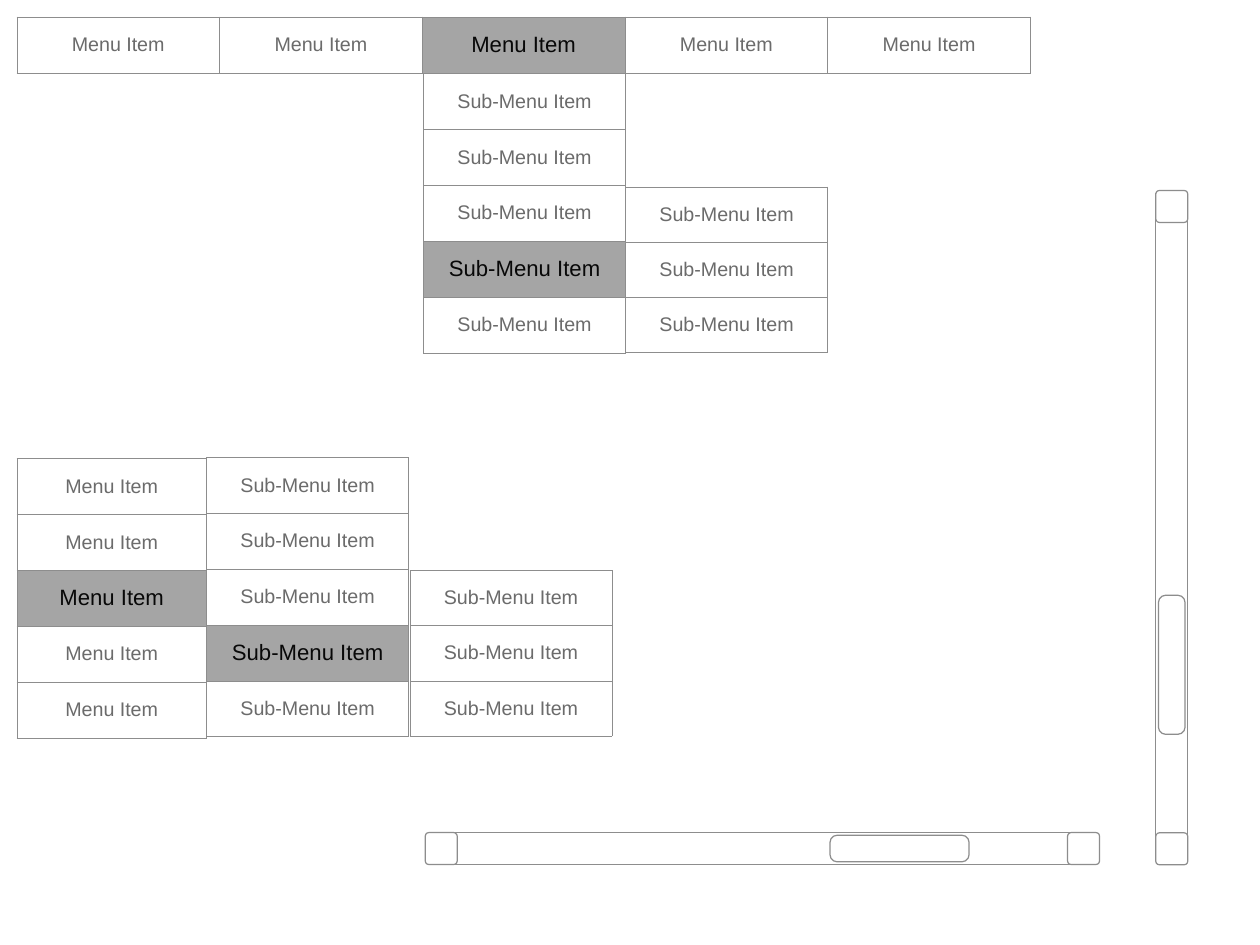
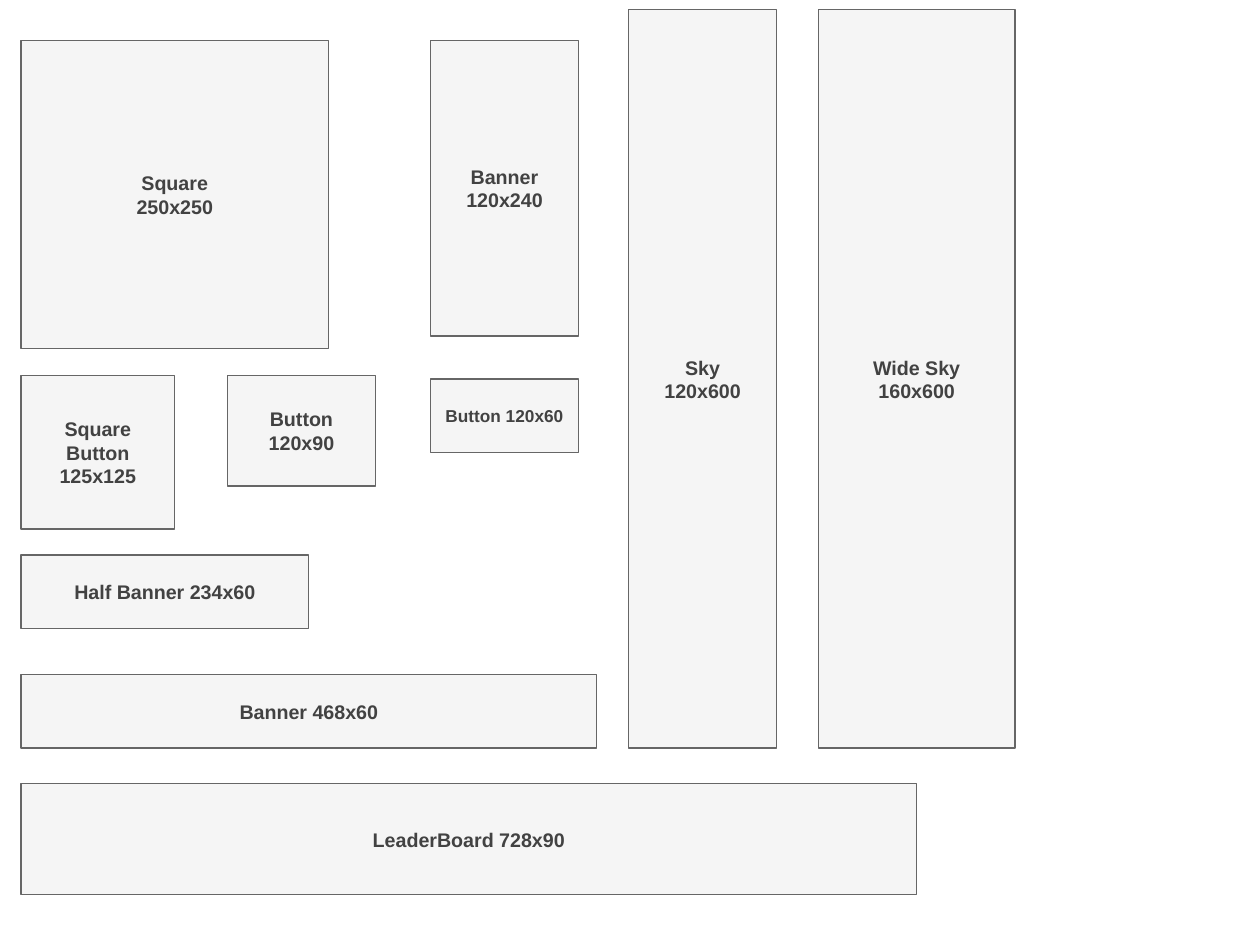
from lxml import etree
from pptx import Presentation
from pptx.dml.color import RGBColor
from pptx.enum import shapes, text
from pptx.oxml.ns import qn
from pptx.util import Pt

COLORS = {
    "white": "FFFFFF", "selected": "A5A5A5", "border": "8D8D8D",
    "menu_text": "6B6B6B", "selected_text": "080808",
    "ad_fill": "F5F5F5", "ad_line": "666666", "ad_text": "424242",
}


class Deck:
    """Holds the shared style and the current slide."""

    font = "Arial"

    def __init__(self):
        self.prs = Presentation()
        self.prs.slide_width, self.prs.slide_height = Pt(1024), Pt(768)
        self.slide = None

    def new_slide(self):
        self.slide = self.prs.slides.add_slide(self.prs.slide_layouts[6])

    def color(self, name):
        return RGBColor.from_string(COLORS[name])

    def style_text(self, p, size, color, bold=False):
        p.alignment = text.PP_ALIGN.CENTER
        p.font.name, p.font.size, p.font.bold = self.font, Pt(size), bold
        p.font.color.rgb = self.color(color)

    def box(self, parent, left, top, width, height, fill, line, radius=0):
        """Outlined box, rounded when a radius in points is given."""
        kind = shapes.MSO_SHAPE.ROUNDED_RECTANGLE if radius else shapes.MSO_SHAPE.RECTANGLE
        sp = parent.add_shape(kind, Pt(left), Pt(top), Pt(width), Pt(height))
        if radius:
            sp.adjustments[0] = radius / min(width, height)
        sp.shadow.inherit = False
        sp.fill.solid()
        sp.fill.fore_color.rgb = self.color(fill)
        sp.line.color.rgb = self.color(line)
        sp.line.width = Pt(1)
        return sp

    def cell_borders(self, cell):
        tc_pr = cell._tc.get_or_add_tcPr()
        for i, side in enumerate(("lnL", "lnR", "lnT", "lnB")):
            ln = etree.Element(qn(f"a:{side}"), w=str(Pt(0.45)))
            fill = etree.SubElement(ln, qn("a:solidFill"))
            etree.SubElement(fill, qn("a:srgbClr"), val=COLORS["border"])
            tc_pr.insert(i, ln)

    def menu(self, label, left, top, width, height, rows=1, cols=1, selected=None):
        """Table of equal items; width and height are those of one item."""
        table = self.slide.shapes.add_table(
            rows, cols, Pt(left), Pt(top), Pt(width * cols), Pt(height * rows)).table
        table.first_row = table.horz_banding = False
        for col in table.columns:
            col.width = Pt(width)
        for row in table.rows:
            row.height = Pt(height)
        for i, cell in enumerate(table.iter_cells()):
            chosen = i == selected
            cell.text = label
            cell.vertical_anchor = text.MSO_ANCHOR.MIDDLE
            cell.margin_left = cell.margin_right = Pt(4.3)
            cell.margin_top = cell.margin_bottom = Pt(3.6)
            cell.fill.solid()
            cell.fill.fore_color.rgb = self.color("selected" if chosen else "white")
            self.cell_borders(cell)
            self.style_text(cell.text_frame.paragraphs[0], 18 if chosen else 16,
                            "selected_text" if chosen else "menu_text")

    def scrollbar(self, left, top, vertical=False):
        """Track, thumb and two end buttons in one group."""
        group = self.slide.shapes.add_group_shape()
        # offset along the bar, inset across it, length, thickness, radius
        parts = [(2.7, 0, 542, 26, 0), (329, 2.2, 113, 21.6, 5.8),
                 (522, 0, 26, 26, 3), (0, 0, 26, 26, 3)]
        for along, across, length, thickness, radius in parts:
            dx, dy, w, h = along, across, length, thickness
            if vertical:
                dx, dy, w, h = across, along, thickness, length
            self.box(group.shapes, left + dx, top + dy, w, h, "white", "border", radius)

    def ad(self, label, left, top, size=16):
        """Ad format drawn at one point per pixel of the size in its label."""
        width, height = map(int, label.split()[-1].split("x"))
        sp = self.box(self.slide.shapes, left, top, width, height, "ad_fill", "ad_line")
        tf = sp.text_frame
        tf.word_wrap = True
        tf.vertical_anchor = text.MSO_ANCHOR.MIDDLE
        tf.margin_left = tf.margin_right = tf.margin_top = tf.margin_bottom = Pt(11.5)
        tf.text = label
        for p in tf.paragraphs:
            self.style_text(p, size, "ad_text", bold=True)


def menus_slide(deck):
    deck.new_slide()
    item, sub_item = "Menu Item", "Sub-Menu Item"
    # Horizontal menu with its two submenus
    deck.menu(item, 13.7, 13.7, 164.75, 46, cols=5, selected=2)
    deck.menu(sub_item, 344.2, 59.8, 164.2, 45.4, rows=5, selected=3)
    deck.menu(sub_item, 508.4, 151.8, 164.2, 44.9, rows=3)
    # Vertical menu with its two submenus
    deck.menu(item, 13.7, 372.7, 154.2, 45.4, rows=5, selected=2)
    deck.menu(sub_item, 167.9, 371.7, 164.2, 45.4, rows=5, selected=3)
    deck.menu(sub_item, 333.2, 463.5, 164.2, 44.9, rows=3)
    # Scrollbars
    deck.scrollbar(939.3, 154.8, vertical=True)
    deck.scrollbar(345.6, 676.6)


def ads_slide(deck):
    deck.new_slide()
    left, middle = 17, 350
    # Wide formats
    deck.ad("LeaderBoard 728x90", left, 637)
    deck.ad("Banner 468x60", left, 548)
    deck.ad("Half Banner 234x60", left, 451)
    # Squares and buttons
    deck.ad("Square\n250x250", left, 33)
    deck.ad("Banner 120x240", middle, 33)
    deck.ad("Button 120x90", 185, 305)
    deck.ad("Square Button 125x125", left, 305)
    deck.ad("Button 120x60", middle, 308, size=14)
    # Skyscrapers
    deck.ad("Sky\n120x600", 511, 8)
    deck.ad("Wide Sky 160x600", 665, 8)


def main():
    deck = Deck()
    menus_slide(deck)
    ads_slide(deck)
    deck.prs.save("out.pptx")


if __name__ == "__main__":
    main()
